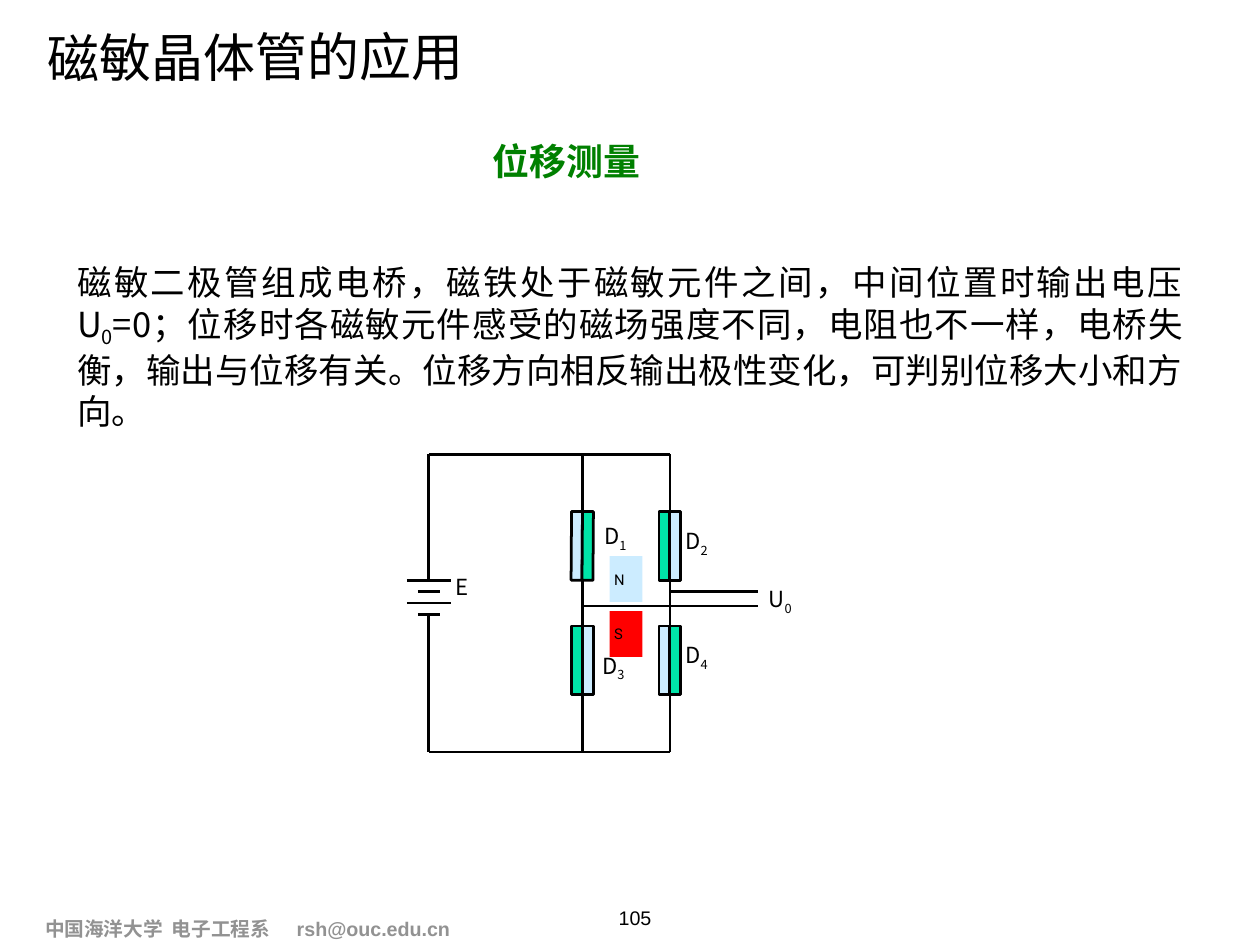
from pptx import Presentation
from pptx.dml.color import RGBColor
from pptx.enum.shapes import MSO_CONNECTOR, MSO_SHAPE
from pptx.enum.text import MSO_ANCHOR, PP_ALIGN
from pptx.oxml.ns import qn
from pptx.util import Inches, Pt
from lxml import etree

RECT = MSO_SHAPE.RECTANGLE
LINE = MSO_CONNECTOR.STRAIGHT
TOP, MID = MSO_ANCHOR.TOP, MSO_ANCHOR.MIDDLE
LEFT, MIDDLE, FULL = PP_ALIGN.LEFT, PP_ALIGN.CENTER, PP_ALIGN.JUSTIFY

WIDE, HIGH = 14.22, 10.67
HAN, LATIN, SANS = "Noto Sans CJK SC", "Arial", "Roboto"
HUES = {"ink": "000000", "head": "008000", "foot": "929292",
        "mint": "00E4A8", "ice": "CCECFF", "red": "FF0000"}


def hue(name):
    """Return a named colour."""
    return RGBColor.from_string(HUES[name])


def cell(box, cols, rows, area):
    """Turn an area in grid units of a box into inches."""
    x, y, w, h = box
    c, r, wide, high = area
    return x + c * w / cols, y + r * h / rows, wide * w / cols, high * h / rows


def page(*area):
    """Place an area on a grid of 100 by 100 over the slide."""
    return cell((0, 0, WIDE, HIGH), 100, 100, area)


def say(slide, box, text, size=18, font=HAN, color="ink", bold=False,
        align=LEFT, anchor=TOP, wrap=True, pad=0.06, turn=0, sub=-25, tabs=()):
    """Write text in a box; every second part between underscores is lowered."""
    shape = slide.shapes.add_textbox(*map(Inches, box))
    shape.rotation = turn
    frame = shape.text_frame
    frame.word_wrap, frame.vertical_anchor = wrap, anchor
    frame.margin_left = frame.margin_right = Inches(pad)
    frame.margin_top = frame.margin_bottom = Inches(pad)
    para = frame.paragraphs[0]
    para.alignment = align
    if tabs:
        stops = etree.SubElement(para._p.get_or_add_pPr(), qn("a:tabLst"))
        for pos in tabs:
            etree.SubElement(stops, qn("a:tab"), pos=str(Inches(pos)), algn="l")
    for i, part in enumerate(text.split("_")):
        run = para.add_run()
        run.text = part
        run.font.size, run.font.bold, run.font.name = Pt(size), bold, font
        run.font.color.rgb = hue(color)
        props = run._r.get_or_add_rPr()
        etree.SubElement(props, qn("a:ea"), typeface=font)
        if i % 2:
            props.set("baseline", str(sub * 1000))


def block(slide, box, fill, edge=False, turn=0):
    """Draw a filled rectangle, with or without an outline."""
    shape = slide.shapes.add_shape(RECT, *map(Inches, box))
    shape.shadow.inherit = False
    shape.rotation = turn
    shape.fill.solid()
    shape.fill.fore_color.rgb = hue(fill)
    if edge:
        shape.line.color.rgb = hue("ink")
        shape.line.width = Pt(2.25)
    else:
        shape.line.fill.background()


def wire(slide, x, y, w, h):
    """Draw a straight wire across the given extent."""
    line = slide.shapes.add_connector(LINE, *map(Inches, (x, y, x + w, y + h)))
    line.line.color.rgb = hue("ink")
    line.line.width = Pt(2.25)
    etree.SubElement(line._element.spPr, qn("a:effectLst"))


def bridge(slide, box):
    """Draw the diode bridge on a grid of 22 columns and 26 rows."""
    def at(*area):
        return cell(box, 22, 26, area)

    diodes = [(14, 5, "ice", "mint", 0.4), (22, 5, "mint", "ice", 0),
              (14, 15, "mint", "ice", 0), (22, 15, "ice", "mint", 0)]
    for col, row, left, right, turn in diodes:
        block(slide, at(col - 1, row, 1, 6), left, True, turn)
        block(slide, at(col, row, 1, 6), right, True, turn)

    for col in (14, 22):
        for row, span in ((0, 5), (11, 4), (21, 5)):
            wire(slide, *at(col, row, 0, span))
    for row in (0, 26):
        wire(slide, *at(0, row, 22, 0))
    for row, span in ((0, 11), (14, 12)):
        wire(slide, *at(0, row, 0, span))
    for i, half in enumerate((2, 1, 2, 1)):
        wire(slide, *at(-half, 11 + i, 2 * half, 0))
    for col, row in ((22, 12), (14, 13.25)):
        wire(slide, *at(col, row, 30 - col, 0))

    marks = [("E", 2, 10), ("D_1", 15.6, 5.6), ("D_2", 23, 6),
             ("D_3", 15.4, 16.9), ("D_4", 23, 16), ("U_0", 30.6, 11.1)]
    for text, col, row in marks:
        say(slide, at(col, row, 5, 5.4), text, pad=0.05)

    for pole, row, fill in (("S", 13.7, "red"), ("N", 8.9, "ice")):
        area = at(16.5, row, 3, 4)
        block(slide, area, fill)
        say(slide, area, pole, size=12, font=SANS, anchor=MID, pad=0.05)


def header(slide, title, head):
    """Write the slide title and the section heading."""
    say(slide, page(3.16, 0.28, 34.18, 11.25), title, size=42.3,
        align=MIDDLE, anchor=MID, turn=359.6)
    say(slide, page(38.68, 13.78, 12.59, 6.47), head, size=30,
        color="head", bold=True, anchor=MID, wrap=False)


def footer(slide, text, number):
    """Write the footer line and the page number."""
    say(slide, page(3.16, 96.53, 35.09, 3.56), text, size=16, font=LATIN,
        color="foot", bold=True, anchor=MID, wrap=False, tabs=(1.43, 2.84))
    say(slide, page(47.9, 95.31, 5, 3.28), number, size=16, font=LATIN,
        align=MIDDLE, wrap=False)


def main():
    """Build the slide and save it."""
    deck = Presentation()
    deck.slide_width, deck.slide_height = Inches(WIDE), Inches(HIGH)
    slide = deck.slides.add_slide(deck.slide_layouts[6])
    header(slide, "磁敏晶体管的应用", "位移测量")
    say(slide, page(5.7, 25.4, 88.6, 22.5),
        "磁敏二极管组成电桥，磁铁处于磁敏元件之间，中间位置时输出电压U_0_=0；"
        "位移时各磁敏元件感受的磁场强度不同，电阻也不一样，电桥失衡，"
        "输出与位移有关。位移方向相反输出极性变化，可判别位移大小和方向。",
        size=28, align=FULL, anchor=MID, sub=-22)
    bridge(slide, page(34.04, 48.08, 19.13, 31.49))
    footer(slide, "中国海洋大学\t电子工程系\trsh@ouc.edu.cn", "105")
    deck.save("out.pptx")


if __name__ == "__main__":
    main()
